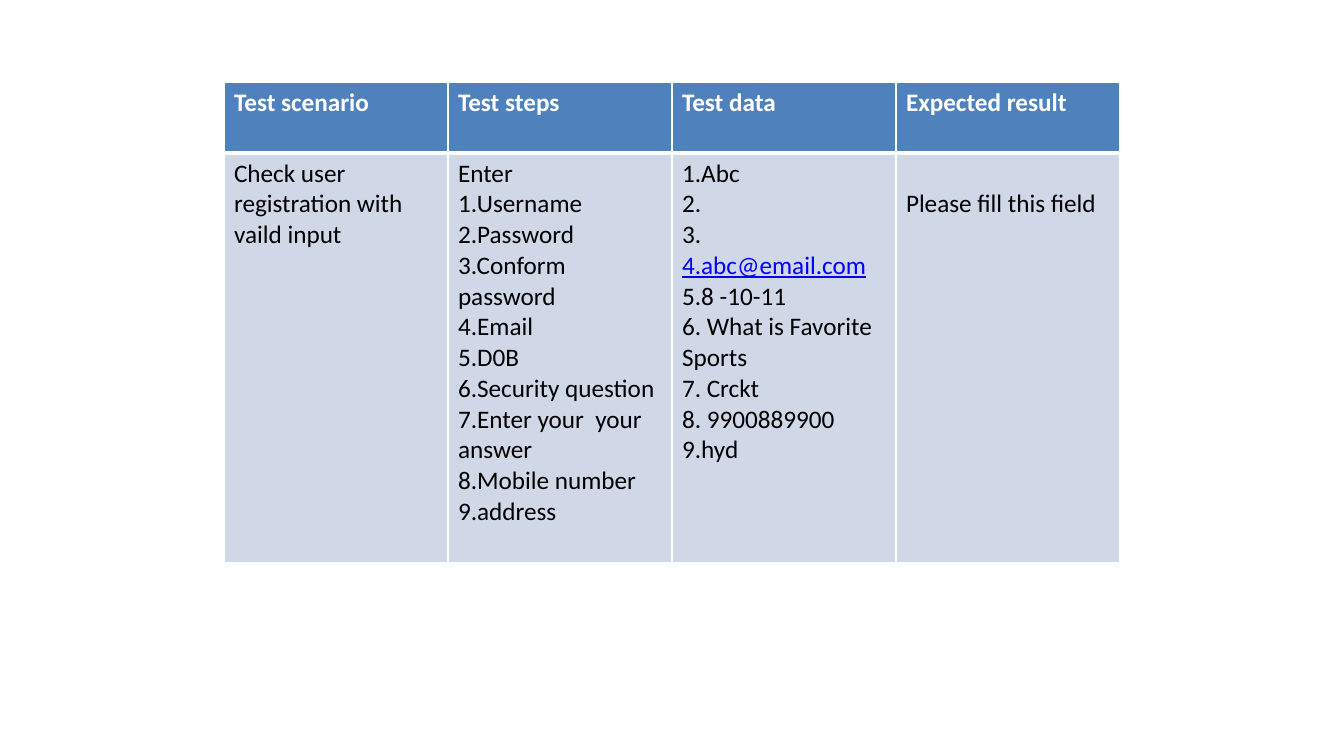
import pptx
import pptx.util
import pptx.dml.color
import pptx.oxml.ns
from lxml import etree

Pt = pptx.util.Pt
COLORS = {"header": "4F81BD", "body": "D0D8E8", "white": "FFFFFF",
          "black": "000000", "link": "0000FF"}
LINE_HEIGHT = 22
EMAIL = "4.abc@email.com"

HEADERS = ["Test scenario", "Test steps", "Test data", "Expected result"]
BODY = [
    ["Check user registration with vaild input"],
    ["Enter", "1.Username", "2.Password", "3.Conform password", "4.Email",
     "5.D0B", "6.Security question", "7.Enter your  your answer",
     "8.Mobile number", "9.address"],
    ["1.Abc", "2.", "3.", EMAIL, "5.8 -10-11", "6. What is Favorite Sports",
     "7. Crckt", "8. 9900889900", "9.hyd"],
    ["Please fill this field"],
]


def rgb(name):
    return pptx.dml.color.RGBColor.from_string(COLORS[name])


def add_text(p, text, color="black", bold=False, underline=False):
    r = p.add_run()
    r.text = text
    r.font.name = "Calibri"
    r.font.size = Pt(18)
    r.font.bold = bold
    r.font.underline = underline
    r.font.color.rgb = rgb(color)


prs = pptx.Presentation()
prs.slide_width, prs.slide_height = Pt(960), Pt(540)
s = prs.slides.add_slide(prs.slide_layouts[6])

table = s.shapes.add_table(2, 4, Pt(160), Pt(58.6), Pt(640), Pt(343)).table
for column in table.columns:
    column.width = Pt(160)
table.rows[0].height = Pt(50.8)
table.rows[1].height = Pt(292.2)

rows = [[[header] for header in HEADERS], BODY]
for i, row in enumerate(rows):
    is_header = i == 0
    # The thick rule lies between the header and the body.
    widths = {"L": 1, "R": 1, "T": 1 if is_header else 3, "B": 3 if is_header else 1}
    for j, lines in enumerate(row):
        cell = table.cell(i, j)
        tcPr = cell._tc.get_or_add_tcPr()
        for side, width in widths.items():
            ln = etree.SubElement(tcPr, pptx.oxml.ns.qn(f"a:ln{side}"), w=str(Pt(width)))
            fill = etree.SubElement(ln, pptx.oxml.ns.qn("a:solidFill"))
            etree.SubElement(fill, pptx.oxml.ns.qn("a:srgbClr"), val=COLORS["white"])
        cell.fill.solid()
        cell.fill.fore_color.rgb = rgb("header" if is_header else "body")

        tf = cell.text_frame
        for k, line in enumerate(lines):
            p = tf.paragraphs[0] if k == 0 else tf.add_paragraph()
            is_link = line == EMAIL
            color = "white" if is_header else "link" if is_link else "black"
            add_text(p, line, color=color, bold=is_header, underline=is_link)

# The expected result starts one line lower, beside the first numbered step.
table.cell(1, 3).margin_top = Pt(3.6 + LINE_HEIGHT)

prs.save("out.pptx")
